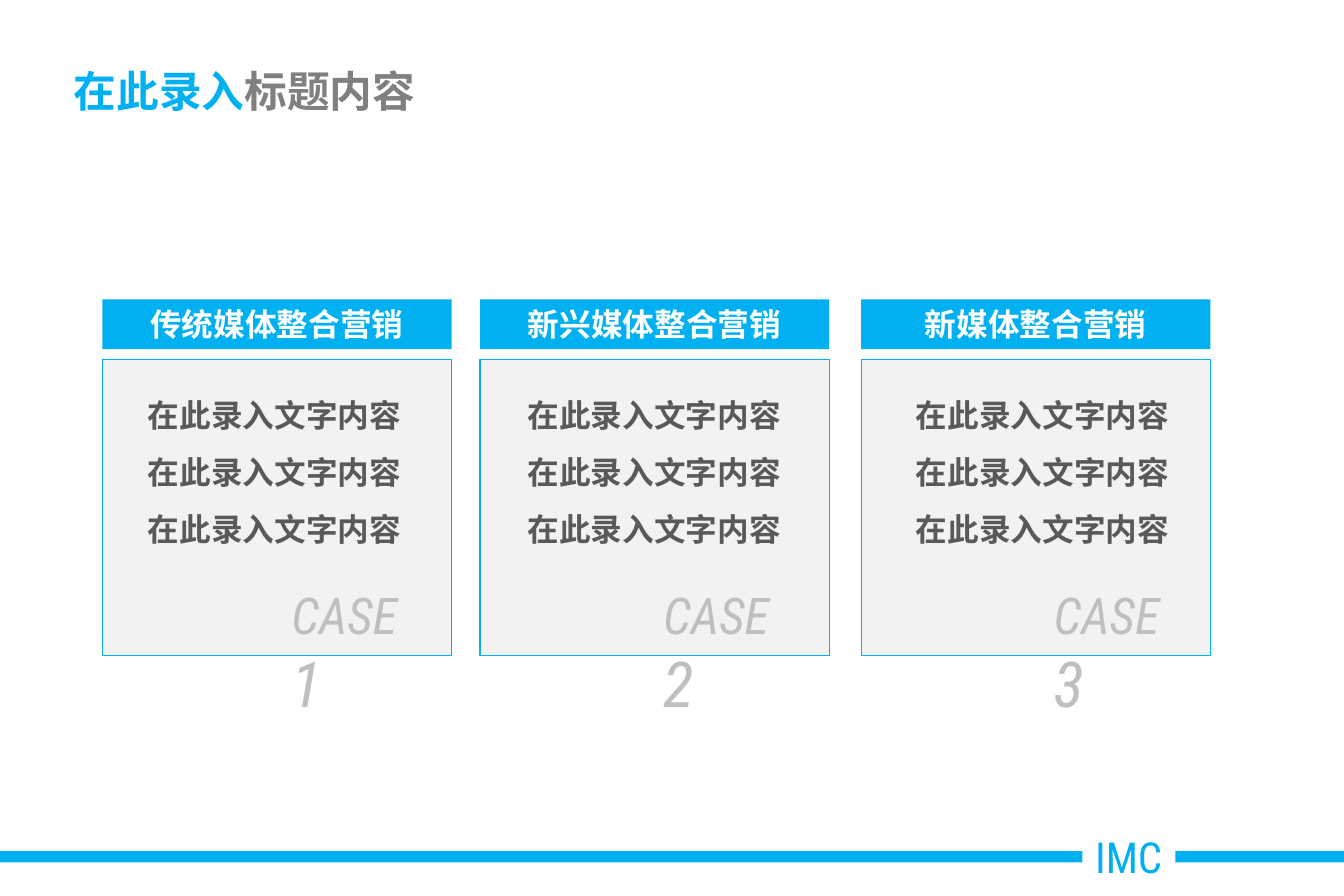
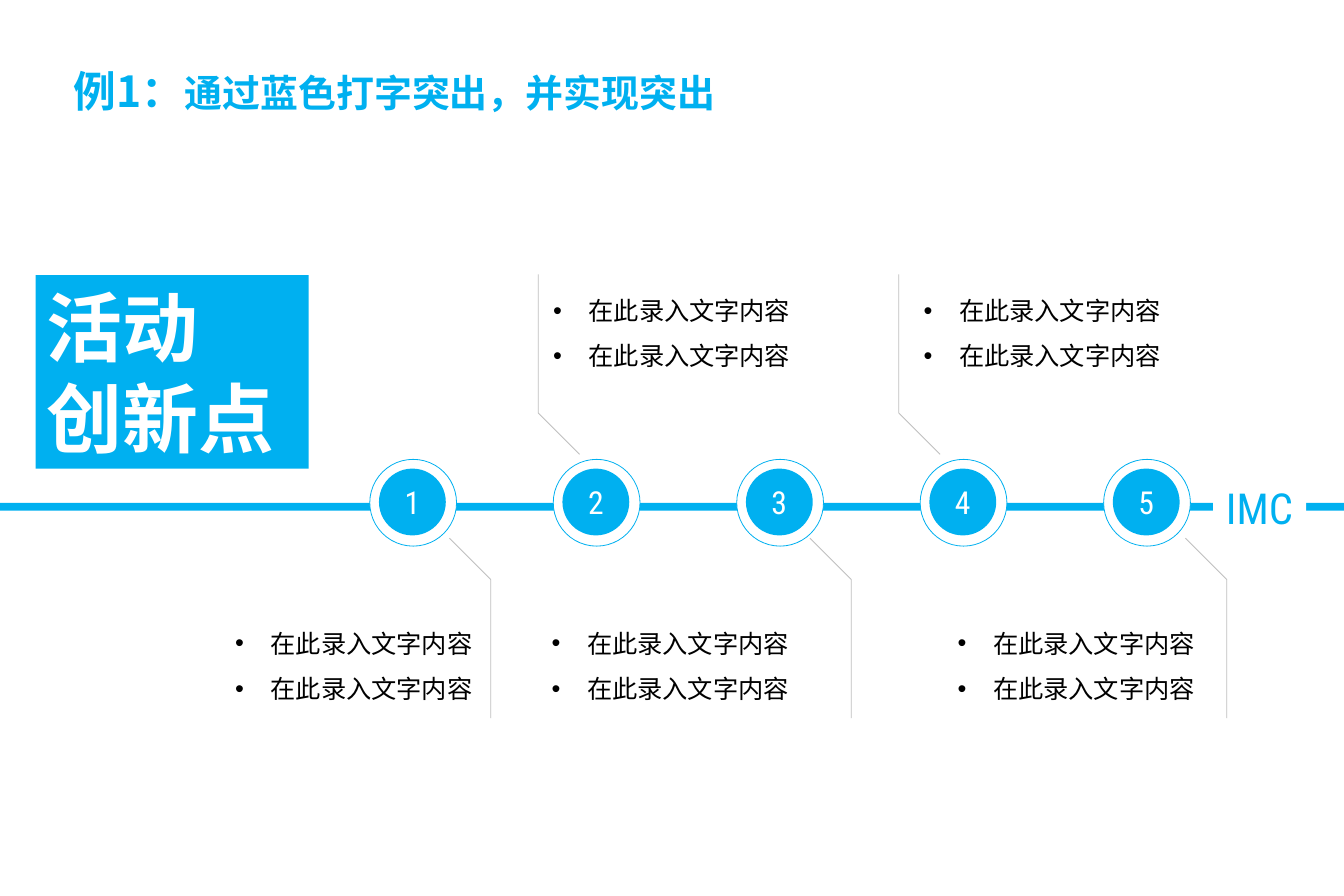
from typing import NamedTuple, Optional, Sequence

from lxml.etree import SubElement
from pptx import Presentation
from pptx.dml.color import RGBColor
from pptx.enum.shapes import MSO_SHAPE as Preset
from pptx.enum.text import MSO_ANCHOR as Anchor, MSO_AUTO_SIZE as AutoSize, PP_ALIGN as Align
from pptx.oxml.ns import qn
from pptx.shapes.autoshape import Shape
from pptx.slide import Slide
from pptx.text.text import TextFrame
from pptx.util import Emu, Pt

EMU_PER_PX = 5715
SLIDE_WIDTH, SLIDE_HEIGHT = 1890, 1260

BLUE = RGBColor(0x00, 0xB0, 0xF0)
WHITE = RGBColor(0xFF, 0xFF, 0xFF)
BLACK = RGBColor(0x00, 0x00, 0x00)
PANEL_GRAY = RGBColor(0xF2, 0xF2, 0xF2)
LIGHT_GRAY = RGBColor(0xBF, 0xBF, 0xBF)
TITLE_GRAY = RGBColor(0x80, 0x80, 0x80)
TEXT_GRAY = RGBColor(0x59, 0x59, 0x59)

HAN_FONT = "Noto Sans CJK SC"
LATIN_FONT = "Roboto Condensed"
BULLET_FONT = "Arial"
SAMPLE_TEXT = "在此录入文字内容"


class Box(NamedTuple):
    left: int
    top: int
    width: int
    height: int


class TextStyle(NamedTuple):
    size: int
    color: RGBColor
    face: str = HAN_FONT
    bold: bool = False
    italic: bool = False
    align: Align = Align.LEFT
    spacing: Optional[float] = None
    bullet_indent: int = 0


class Span(NamedTuple):
    text: str
    size: Optional[int] = None
    color: Optional[RGBColor] = None


class Card(NamedTuple):
    heading: str
    left: int
    text_left: int
    case_left: int


class Step(NamedTuple):
    above: bool
    leader_x: int
    note_left: int
    note_width: int


TITLE_STYLE = TextStyle(27, BLUE, bold=True)
TAG_STYLE = TextStyle(27, BLUE, LATIN_FONT)
HEADING_STYLE = TextStyle(20, WHITE, bold=True, align=Align.CENTER)
CARD_STYLE = TextStyle(20, TEXT_GRAY, bold=True, align=Align.CENTER, spacing=1.5)
CASE_STYLE = TextStyle(32, LIGHT_GRAY, LATIN_FONT, italic=True)
TOPIC_STYLE = TextStyle(48, WHITE, bold=True)
NUMBER_STYLE = TextStyle(20, WHITE, LATIN_FONT, align=Align.CENTER)
NOTE_STYLE = TextStyle(16, BLACK, spacing=1.5, bullet_indent=50)

TITLE_BOX = Box(86, 78, 1701, 99)
WIDE_INSETS = (18, 10)

CARDS = (
    Card("传统媒体整合营销", 144, 189, 394),
    Card("新兴媒体整合营销", 675, 723, 917),
    Card("新媒体整合营销", 1211, 1269, 1466),
)
STEPS = (
    Step(False, 690, 315, 376),
    Step(True, 757, 762, 472),
    Step(False, 1197, 760, 419),
    Step(True, 1264, 1283, 486),
    Step(False, 1725, 1331, 382),
)

RING_LEFT, RING_TOP, RING_SIZE, RING_PITCH = 520, 646, 122, 258
DISC_INSET, DISC_SIZE = 13, 94
LEADER_LENGTH, LEADER_BEND = 195, 58


def px(length: int) -> Emu:
    return Emu(length * EMU_PER_PX)


def place(box: Box) -> list[Emu]:
    return [px(length) for length in box]


def write(
    frame: TextFrame,
    lines: Sequence[Sequence[Span]],
    style: TextStyle,
    anchor: Anchor = Anchor.TOP,
    wrap: bool = True,
    insets: tuple[int, int] = (16, 8),
) -> None:
    frame.word_wrap = wrap
    frame.auto_size = AutoSize.NONE
    frame.vertical_anchor = anchor
    frame.margin_left = frame.margin_right = px(insets[0])
    frame.margin_top = frame.margin_bottom = px(insets[1])
    for index, spans in enumerate(lines):
        paragraph = frame.add_paragraph() if index else frame.paragraphs[0]
        paragraph.alignment = style.align
        if style.spacing:
            paragraph.line_spacing = style.spacing
        font = paragraph.font
        font.size = Pt(style.size)
        font.bold = style.bold
        font.italic = style.italic
        font.color.rgb = style.color
        font.name = style.face
        properties = paragraph._p.get_or_add_pPr()
        defaults = properties.find(qn("a:defRPr"))
        SubElement(defaults, qn("a:ea")).set("typeface", style.face)
        if style.bullet_indent:
            properties.set("marL", str(px(style.bullet_indent)))
            properties.set("indent", str(px(-style.bullet_indent)))
            for tag, key, value in (
                ("a:buFont", "typeface", BULLET_FONT),
                ("a:buChar", "char", "•"),
            ):
                bullet = SubElement(properties, qn(tag))
                bullet.set(key, value)
                defaults.addprevious(bullet)
        for span in spans:
            run = paragraph.add_run()
            run.text = span.text
            if span.size:
                run.font.size = Pt(span.size)
            if span.color is not None:
                run.font.color.rgb = span.color


def add_block(
    slide: Slide,
    box: Box,
    fill: RGBColor,
    preset: Preset = Preset.RECTANGLE,
    line_width: float = 0,
) -> Shape:
    block = slide.shapes.add_shape(preset, *place(box))
    block.shadow.inherit = False
    block.fill.solid()
    block.fill.fore_color.rgb = fill
    if line_width:
        block.line.color.rgb = BLUE
        block.line.width = Pt(line_width)
    else:
        block.line.fill.background()
    return block


def add_text(slide: Slide, box: Box, lines: Sequence[Sequence[Span]], style: TextStyle) -> None:
    write(slide.shapes.add_textbox(*place(box)).text_frame, lines, style)


def add_titled_slide(deck: Presentation, title: Sequence[Span]) -> Slide:
    slide = deck.slides.add_slide(deck.slide_layouts.get_by_name("Title Only"))
    heading = slide.shapes.title
    heading.left, heading.top, heading.width, heading.height = place(TITLE_BOX)
    write(heading.text_frame, [title], TITLE_STYLE, Anchor.MIDDLE, insets=WIDE_INSETS)
    return slide


def add_tagged_band(slide: Slide, top: int, height: int, tag_left: int, tag_top: int) -> None:
    add_block(slide, Box(0, top, SLIDE_WIDTH, height), BLUE)
    tag = add_block(slide, Box(tag_left, tag_top, 131, 91), WHITE)
    write(tag.text_frame, [[Span("IMC")]], TAG_STYLE, wrap=False, insets=WIDE_INSETS)


def add_card(slide: Slide, number: int, card: Card) -> None:
    add_block(slide, Box(card.left, 506, 491, 416), PANEL_GRAY, line_width=0.75)
    heading = add_block(slide, Box(card.left, 421, 491, 70), BLUE)
    write(heading.text_frame, [[Span(card.heading)]], HEADING_STYLE)
    add_text(slide, Box(card.text_left, 522, 394, 259), [[Span(SAMPLE_TEXT)]] * 3, CARD_STYLE)
    case_label = [Span("CASE "), Span(str(number), size=40)]
    add_text(slide, Box(card.case_left, 813, 222, 123), [case_label], CASE_STYLE)


def add_leader(slide: Slide, step: Step) -> None:
    start, toward_ring = (386, 1) if step.above else (1010, -1)
    bend = start + LEADER_LENGTH * toward_ring
    tip = (step.leader_x + LEADER_BEND * toward_ring, bend + LEADER_BEND * toward_ring)
    outline = slide.shapes.build_freeform(step.leader_x, start, EMU_PER_PX)
    outline.add_line_segments([(step.leader_x, bend), tip], close=False)
    leader = outline.convert_to_shape()
    leader.shadow.inherit = False
    leader.fill.background()
    leader.line.color.rgb = LIGHT_GRAY
    leader.line.width = Pt(0.5)


def add_step(slide: Slide, number: int, step: Step) -> None:
    ring_left = RING_LEFT + RING_PITCH * (number - 1)
    ring = Box(ring_left, RING_TOP, RING_SIZE, RING_SIZE)
    add_block(slide, ring, WHITE, Preset.OVAL, line_width=0.5)
    disc_box = Box(ring_left + DISC_INSET, RING_TOP + DISC_INSET, DISC_SIZE, DISC_SIZE)
    disc = add_block(slide, disc_box, BLUE, Preset.OVAL)
    write(disc.text_frame, [[Span(str(number))]], NUMBER_STYLE, Anchor.MIDDLE)
    add_leader(slide, step)
    note_top = 386 if step.above else 854
    note = Box(step.note_left, note_top, step.note_width, 138)
    add_text(slide, note, [[Span(SAMPLE_TEXT)]] * 2, NOTE_STYLE)


def build_cases(deck: Presentation) -> None:
    slide = add_titled_slide(deck, [Span("在此录入"), Span("标题内容", color=TITLE_GRAY)])
    add_tagged_band(slide, 1197, 16, 1522, 1158)
    for number, card in enumerate(CARDS, start=1):
        add_card(slide, number, card)


def build_timeline(deck: Presentation) -> None:
    slide = add_titled_slide(deck, [Span("例1："), Span("通过蓝色打字突出，并实现突出", size=24)])
    add_tagged_band(slide, 707, 11, 1706, 667)
    topic = add_block(slide, Box(50, 387, 384, 272), BLUE)
    write(topic.text_frame, [[Span("活动")], [Span("创新点")]], TOPIC_STYLE)
    for number, step in enumerate(STEPS, start=1):
        add_step(slide, number, step)


def main() -> None:
    deck = Presentation()
    deck.slide_width, deck.slide_height = px(SLIDE_WIDTH), px(SLIDE_HEIGHT)
    build_cases(deck)
    build_timeline(deck)
    deck.save("out.pptx")


if __name__ == "__main__":
    main()
